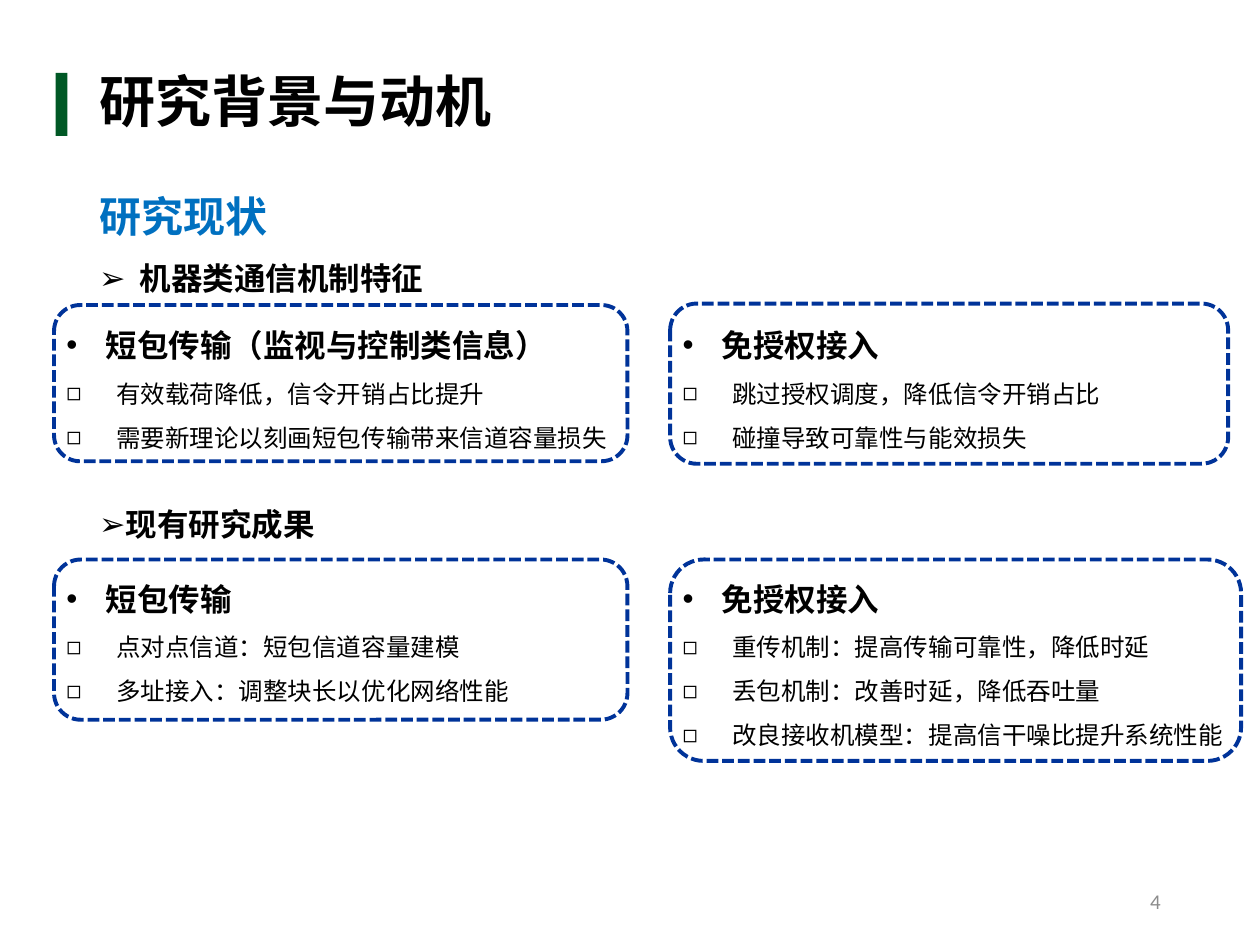
from lxml import etree
from pptx import Presentation
from pptx.dml.color import RGBColor
from pptx.enum.dml import MSO_LINE
from pptx.enum.shapes import MSO_SHAPE as Preset
from pptx.enum.text import MSO_ANCHOR as Anchor, PP_ALIGN as Align
from pptx.oxml.ns import qn
from pptx.util import Cm, Pt

# Content
TITLE = "研究背景与动机"
SECTION = "研究现状"
FEATURES = "机器类通信机制特征"
RESULTS = "现有研究成果"
PAGE = "4"

# Each card: column, text top, outline top, outline width, outline height (cm)
CARDS = [
    (0, 6.07, 6.15, 11.56, 3.15, "短包传输（监视与控制类信息）",
     ["有效载荷降低，信令开销占比提升", "需要新理论以刻画短包传输带来信道容量损失"]),
    (1, 6.07, 6.12, 11.25, 3.23, "免授权接入",
     ["跳过授权调度，降低信令开销占比", "碰撞导致可靠性与能效损失"]),
    (0, 11.18, 11.28, 11.56, 3.23, "短包传输",
     ["点对点信道：短包信道容量建模", "多址接入：调整块长以优化网络性能"]),
    (1, 11.18, 11.28, 11.51, 4.06, "免授权接入",
     ["重传机制：提高传输可靠性，降低时延", "丢包机制：改善时延，降低吞吐量",
      "改良接收机模型：提高信干噪比提升系统性能"]),
]

THEME = {
    "ink": "000000", "bar": "005825", "section": "0070C0",
    "outline": "003399", "page": "8C8C8C",
    "title_size": 32, "section_size": 24, "head_size": 18,
    "item_size": 14, "page_size": 12,
    "latin": "Times New Roman", "cjk": "Noto Sans CJK SC", "number": "Calibri",
}
LEADING = 1.8  # line pitch as a multiple of the type size
COLUMNS = (1.09, 13.51)
CARD_TEXT_WIDTH = 11.76
HEADING_LEFT = 1.75


def add_box(slide, left, top, width, height, anchor=Anchor.TOP):
    frame = slide.shapes.add_textbox(Cm(left), Cm(top), Cm(width), Cm(height)).text_frame
    frame.word_wrap = True
    frame.vertical_anchor = anchor
    return frame


def write(frame, text, size, color=THEME["ink"], bold=False, font=THEME["latin"],
          bullet=None, indent=0, align=Align.LEFT, spacing=None):
    """Fill the frame's empty first paragraph, or append a new one."""
    first = frame.paragraphs[0]
    para = frame.add_paragraph() if first.runs else first
    props = para._p.get_or_add_pPr()
    props.set("marL", str(Cm(indent)))
    props.set("indent", str(-Cm(indent)))
    if bullet:
        etree.SubElement(props, qn("a:buFont")).set("typeface", "Arial")
        etree.SubElement(props, qn("a:buChar")).set("char", bullet)
    para.alignment = align
    para.line_spacing = spacing or Pt(size * LEADING)
    run = para.add_run()
    run.text = text
    run.font.name, run.font.size, run.font.bold = font, Pt(size), bold
    run.font.color.rgb = RGBColor.from_string(color)
    east_asian = etree.SubElement(run._r.get_or_add_rPr(), qn("a:ea"))
    east_asian.set("typeface", THEME["cjk"])


def add_card(slide, column, text_top, top, width, height, heading, items):
    left = COLUMNS[column]
    outline = slide.shapes.add_shape(
        Preset.ROUNDED_RECTANGLE, Cm(left), Cm(top), Cm(width), Cm(height))
    outline.shadow.inherit = False
    outline.fill.background()
    outline.line.color.rgb = RGBColor.from_string(THEME["outline"])
    outline.line.width = Pt(2.25)
    outline.line.dash_style = MSO_LINE.SQUARE_DOT

    points = add_box(slide, left, text_top, CARD_TEXT_WIDTH, height)
    write(points, heading, THEME["head_size"], bold=True, bullet="•", indent=0.79)
    for item in items:
        write(points, item, THEME["item_size"], bullet="◻", indent=1)


def main():
    deck = Presentation()
    deck.slide_width, deck.slide_height = Cm(25.4), Cm(19.05)
    slide = deck.slides.add_slide(deck.slide_layouts[6])

    # Title with its accent bar
    bar = slide.shapes.add_shape(Preset.RECTANGLE, Cm(1.12), Cm(1.47), Cm(0.24), Cm(1.27))
    bar.shadow.inherit = False
    bar.fill.solid()
    bar.fill.fore_color.rgb = RGBColor.from_string(THEME["bar"])
    bar.line.fill.background()
    title = add_box(slide, HEADING_LEFT, 1.3, 21.9, 1.6, Anchor.MIDDLE)
    write(title, TITLE, THEME["title_size"], bold=True, font=THEME["cjk"], spacing=0.9)

    # Section and topic headings
    section = add_box(slide, HEADING_LEFT, 3.2, 14.88, 2.95)
    write(section, SECTION, THEME["section_size"], color=THEME["section"], bold=True)
    write(section, FEATURES, THEME["head_size"], bold=True, bullet="➢", indent=0.82)
    results = add_box(slide, HEADING_LEFT, 9.68, 21.9, 1.27)
    write(results, RESULTS, THEME["head_size"], bold=True, bullet="➢")

    # Cards
    for card in CARDS:
        add_card(slide, *card)

    # Page number
    page = add_box(slide, 17.93, 17.65, 5.72, 1.02, Anchor.MIDDLE)
    write(page, PAGE, THEME["page_size"], color=THEME["page"], font=THEME["number"],
          align=Align.RIGHT, spacing=1.0)

    deck.save("out.pptx")


if __name__ == "__main__":
    main()
